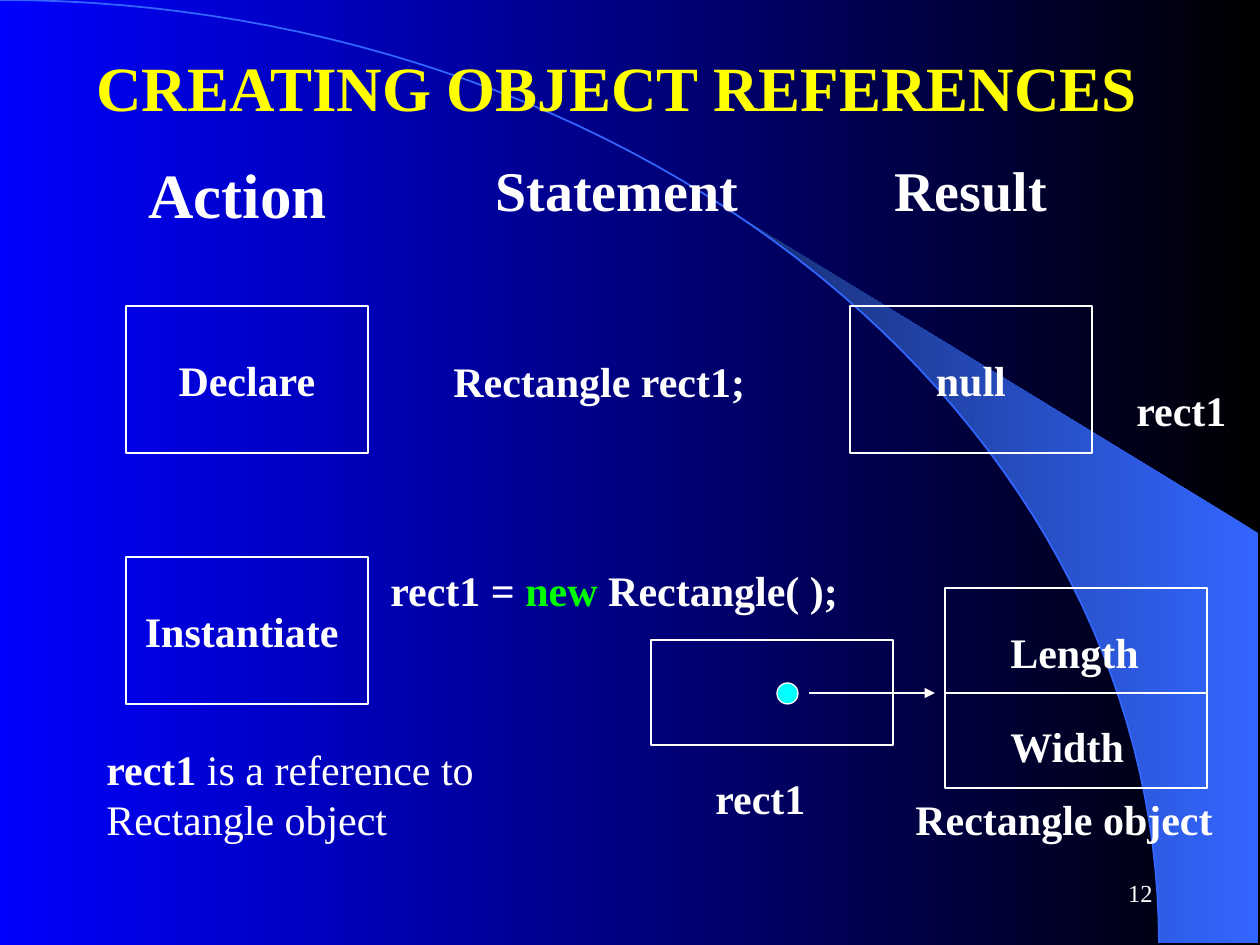
import math
from pptx import Presentation, util as u
from pptx.dml.color import RGBColor
from pptx.enum import shapes, text
from pptx.oxml.ns import qn
from lxml import etree

THEME = {
    "font": "Times New Roman",
    "white": "FFFFFF", "yellow": "FFFF00", "green": "00FF00", "cyan": "00FFFF",
    "black": "000000", "blue": "0000FF", "arc": "3366FF", "shade": "172F75",
    "title": 36, "head": 32, "body": 24, "page": 14, "line": 0.75, "arc_line": 1,
}

# Content: (left, top, width, height), runs of (text, colour, bold), size
LABELS = [
    ((84, 42, 1134, 88), [("CREATING OBJECT REFERENCES", "yellow", True)], "title"),
    ((136, 149, 221, 88), [("Action", "white", True)], "title"),
    ((483, 149, 284, 81), [("Statement", "white", True)], "head"),
    ((882, 149, 221, 81), [("Result", "white", True)], "head"),
    ((441, 349, 378, 63), [("Rectangle rect1;", "white", True)], "body"),
    ((1124, 378, 136, 63), [("rect1", "white", True)], "body"),
    ((378, 558, 494, 63), [("rect1 = ", "white", True), ("new", "green", True),
                           (" Rectangle( );", "white", True)], "body"),
    ((998, 620, 168, 63), [("Length", "white", True)], "body"),
    ((998, 714, 168, 63), [("Width", "white", True)], "body"),
    ((703, 766, 136, 63), [("rect1", "white", True)], "body"),
    ((903, 787, 357, 63), [("Rectangle object", "white", True)], "body"),
    ((94, 737, 557, 113), [("rect1", "white", True),
                           (" is a reference to Rectangle object", "white", False)], "body"),
]
PAGE = ((903, 861, 262, 63), [("12", "white", False)], "page")
BOXES = [
    ((126, 306, 242, 147), "Declare"),
    ((850, 306, 242, 147), "null"),
    ((126, 557, 242, 147), "Instantiate "),
    ((651, 640, 242, 105), ""),
    ((945, 588, 262, 200), ""),
]
DOT = (777, 683, 21, 21)
LINES = [((809, 693), (935, 693), True), ((945, 693), (1207, 693), False)]
ARC_RX, ARC_RY = 1159, 943
WEDGE_START_X, WEDGE_RIGHT, WEDGE_TOP = 742, 1258, 533


def px(*values):
    return [u.Emu(round(v * 914400 / 126)) for v in values]


def rgb(name):
    return RGBColor.from_string(THEME[name])


def gradient(fill, first, last):
    fill.gradient()
    fill.gradient_angle = 180
    for stop, name in zip(fill.gradient_stops, (first, last)):
        stop.color.rgb = rgb(name)


def outline(s, color="white", width="line"):
    s.line.color.rgb = rgb(color)
    s.line.width = u.Pt(THEME[width])


def write(s, runs, size, align=None, **frame):
    tf = s.text_frame
    for name, value in frame.items():
        setattr(tf, name, value)
    p = tf.paragraphs[0]
    p.alignment = align
    for words, color, bold in runs:
        r = p.add_run()
        r.text = words
        style = {"name": THEME["font"], "size": u.Pt(THEME[size]), "bold": bold}
        for name, value in style.items():
            setattr(r.font, name, value)
        r.font.color.rgb = rgb(color)


def arc(start, steps=60):
    """Points of the quarter ellipse from angle start to its lower right end."""
    angles = [start + (math.pi / 2 - start) * i / steps for i in range(steps + 1)]
    return [px(ARC_RX * math.sin(a), ARC_RY * (1 - math.cos(a))) for a in angles]


def freeform(sp, points, close):
    builder = sp.build_freeform(*points[0])
    builder.add_line_segments(points[1:], close=close)
    s = builder.convert_to_shape()
    s.shadow.inherit = False
    return s


def add_shape(sp, kind, place):
    s = sp.add_shape(kind, *px(*place))
    s.shadow.inherit = False
    s.fill.background()
    outline(s)
    return s


def add_line(sp, start, end, arrow):
    s = sp.add_connector(shapes.MSO_CONNECTOR.STRAIGHT, *px(*start, *end))
    outline(s)
    if arrow:
        etree.SubElement(s.line._get_or_add_ln(), qn("a:tailEnd"), type="triangle")
    etree.SubElement(s._element.spPr, qn("a:effectLst"))


def main():
    prs = Presentation()
    prs.slide_width, prs.slide_height = px(1260, 945)
    slide = prs.slides.add_slide(prs.slide_layouts[6])
    sp = slide.shapes

    # Background: gradient, shaded wedge and arc
    gradient(slide.background.fill, "black", "blue")
    corners = [px(WEDGE_RIGHT, ARC_RY), px(WEDGE_RIGHT, WEDGE_TOP)]
    wedge = freeform(sp, arc(math.asin(WEDGE_START_X / ARC_RX)) + corners, True)
    gradient(wedge.fill, "arc", "shade")
    wedge.line.fill.background()
    curve = freeform(sp, arc(0), False)
    curve.fill.background()
    outline(curve, "arc", "arc_line")

    # Boxes, reference dot and lines
    for place, words in BOXES:
        s = add_shape(sp, shapes.MSO_SHAPE.RECTANGLE, place)
        if words:
            write(s, [(words, "white", True)], "body", text.PP_ALIGN.CENTER,
                  word_wrap=False, vertical_anchor=text.MSO_ANCHOR.MIDDLE)
    dot = add_shape(sp, shapes.MSO_SHAPE.OVAL, DOT)
    dot.fill.solid()
    dot.fill.fore_color.rgb = rgb("cyan")
    for line in LINES:
        add_line(sp, *line)

    # Labels and page number
    for place, runs, size in LABELS:
        write(sp.add_textbox(*px(*place)), runs, size, word_wrap=True,
              auto_size=text.MSO_AUTO_SIZE.SHAPE_TO_FIT_TEXT)
    place, runs, size = PAGE
    write(sp.add_textbox(*px(*place)), runs, size, text.PP_ALIGN.RIGHT,
          word_wrap=True, vertical_anchor=text.MSO_ANCHOR.MIDDLE)

    prs.save("out.pptx")


if __name__ == "__main__":
    main()
